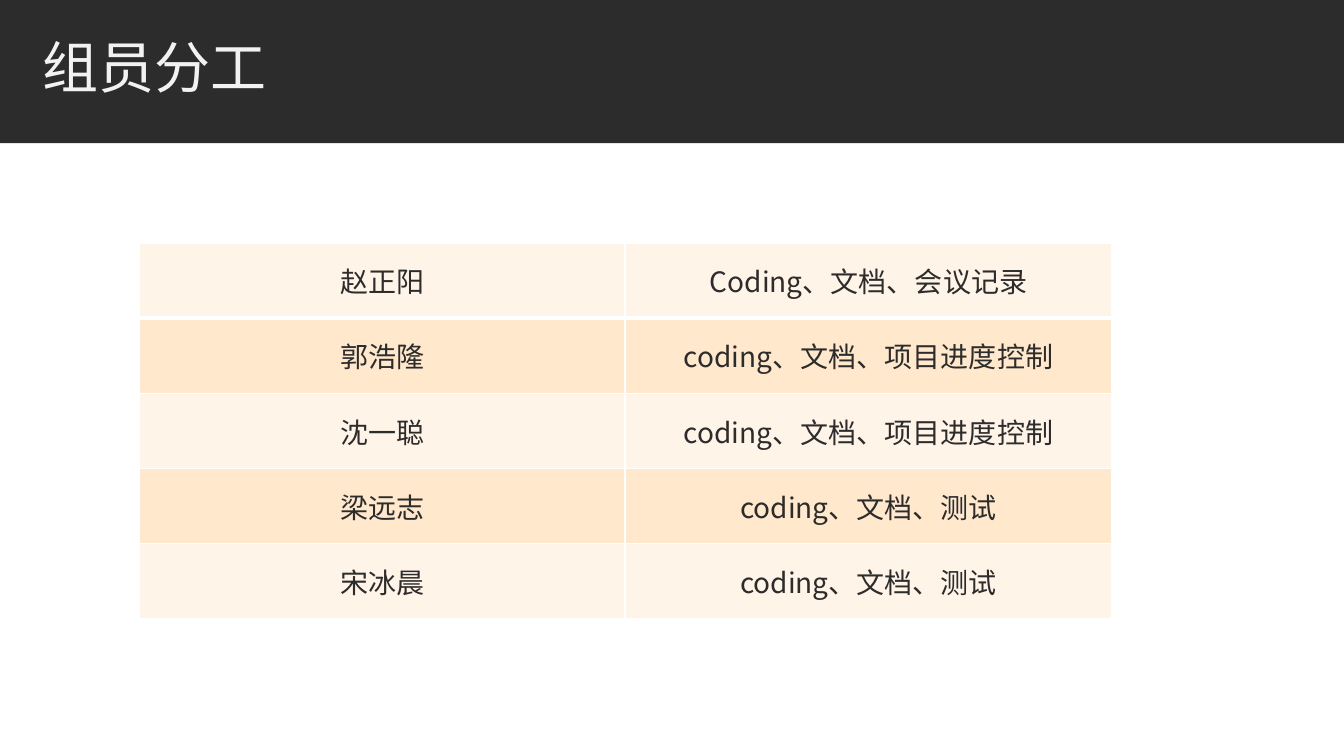
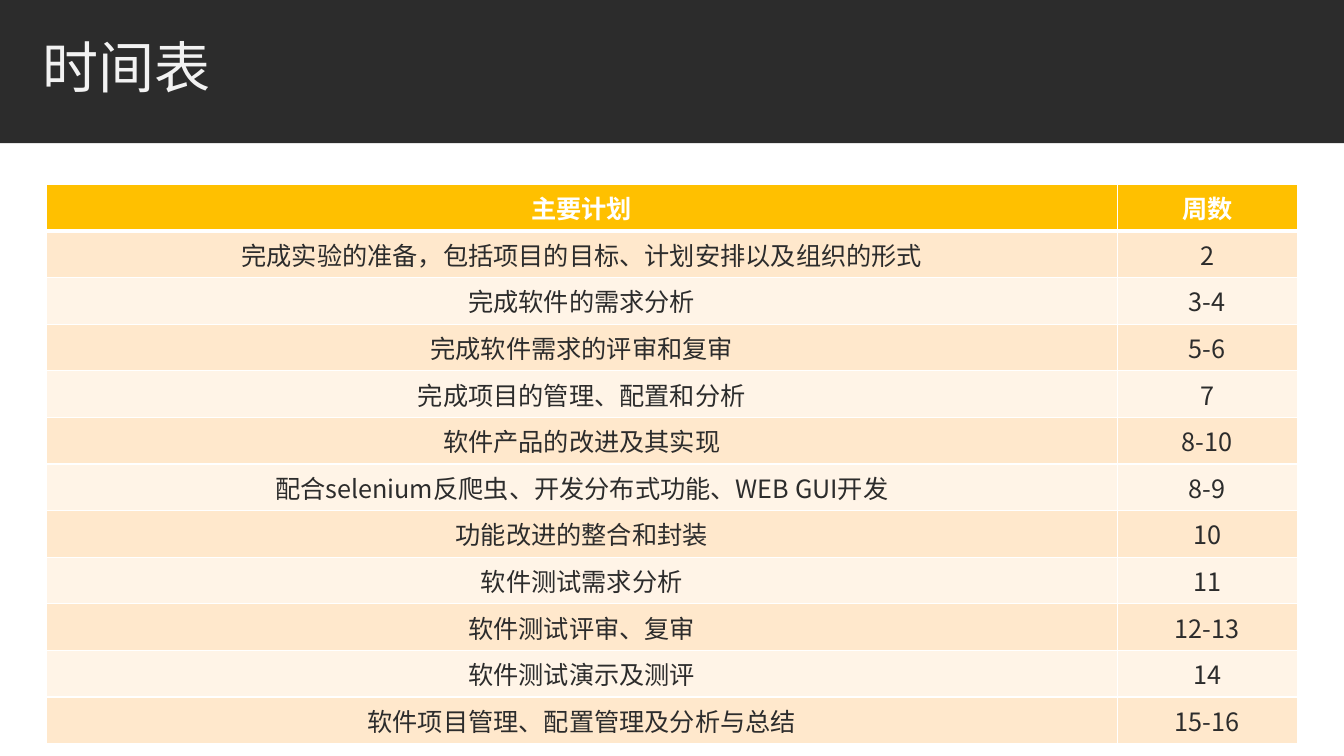
"""Build the team roles and timetable slides."""
import lxml.etree
import pptx
import pptx.dml.color
import pptx.enum.shapes
import pptx.enum.text
import pptx.oxml.ns
import pptx.util

Inches = pptx.util.Inches
FONT = "Noto Sans CJK SC"
DARK = "2C2C2C"
TITLE_COLOR = "F2F2F2"
WHITE = "FFFFFF"
HEADER_FILL = "FFC000"
PALE_BAND = "FFF4E7"
DEEP_BAND = "FFE8CC"
SLIDE_WIDTH = 13.33

ROLES = [
    ("赵正阳", "Coding、文档、会议记录"),
    ("郭浩隆", "coding、文档、项目进度控制"),
    ("沈一聪", "coding、文档、项目进度控制"),
    ("梁远志", "coding、文档、测试"),
    ("宋冰晨", "coding、文档、测试"),
]
TIMETABLE = [
    ("主要计划", "周数"),
    ("完成实验的准备，包括项目的目标、计划安排以及组织的形式", "2"),
    ("完成软件的需求分析", "3-4"),
    ("完成软件需求的评审和复审", "5-6"),
    ("完成项目的管理、配置和分析", "7"),
    ("软件产品的改进及其实现", "8-10"),
    ("配合selenium反爬虫、开发分布式功能、WEB GUI开发", "8-9"),
    ("功能改进的整合和封装", "10"),
    ("软件测试需求分析", "11"),
    ("软件测试评审、复审", "12-13"),
    ("软件测试演示及测评", "14"),
    ("软件项目管理、配置管理及分析与总结", "15-16"),
]


def set_fill(target, color):
    target.fill.solid()
    target.fill.fore_color.rgb = pptx.dml.color.RGBColor.from_string(color)


def add_run(paragraph, text, size, color, bold=False):
    run = paragraph.add_run()
    run.text = text
    run.font.size = pptx.util.Pt(size)
    run.font.name = FONT
    run.font.bold = bold
    set_fill(run.font, color)
    properties = run.font._element
    east_asian = lxml.etree.SubElement(properties, pptx.oxml.ns.qn("a:ea"))
    east_asian.set("typeface", FONT)


def add_titled_slide(presentation, title):
    slide = presentation.slides.add_slide(presentation.slide_layouts[6])
    band = slide.shapes.add_shape(
        pptx.enum.shapes.MSO_SHAPE.RECTANGLE, 0, 0, Inches(SLIDE_WIDTH), Inches(1.42))
    band.shadow.inherit = False
    band.line.fill.background()
    set_fill(band, DARK)

    box = slide.shapes.add_textbox(Inches(0.32), Inches(0.26), Inches(10.7), Inches(0.9))
    box.text_frame.word_wrap = True
    box.text_frame.vertical_anchor = pptx.enum.text.MSO_ANCHOR.MIDDLE
    paragraph = box.text_frame.paragraphs[0]
    paragraph.line_spacing = 0.85
    add_run(paragraph, title, 40, TITLE_COLOR)
    return slide


def add_borders(cell, top, bottom):
    properties = cell._tc.get_or_add_tcPr()
    for side, width in (("L", 1), ("R", 1), ("T", top), ("B", bottom)):
        line = lxml.etree.SubElement(properties, pptx.oxml.ns.qn(f"a:ln{side}"))
        line.set("w", str(pptx.util.Pt(width)))
        fill = lxml.etree.SubElement(line, pptx.oxml.ns.qn("a:solidFill"))
        lxml.etree.SubElement(fill, pptx.oxml.ns.qn("a:srgbClr")).set("val", WHITE)


def add_banded_table(slide, rows, left, top, column_widths, height, size,
                     anchor, has_header=False):
    table = slide.shapes.add_table(
        len(rows), len(column_widths), Inches(left), Inches(top),
        Inches(sum(column_widths)), Inches(height)).table
    table.first_row = has_header
    table.horz_banding = False
    for column, width in zip(table.columns, column_widths):
        column.width = Inches(width)

    for row_index, texts in enumerate(rows):
        table.rows[row_index].height = Inches(height / len(rows))
        is_header = has_header and row_index == 0
        band_fill = DEEP_BAND if row_index % 2 else PALE_BAND
        for column_index, text in enumerate(texts):
            cell = table.cell(row_index, column_index)
            add_borders(cell, top=3 if row_index == 1 else 1,
                        bottom=3 if row_index == 0 else 1)
            set_fill(cell, HEADER_FILL if is_header else band_fill)
            cell.vertical_anchor = anchor
            paragraph = cell.text_frame.paragraphs[0]
            paragraph.alignment = pptx.enum.text.PP_ALIGN.CENTER
            add_run(paragraph, text, size, WHITE if is_header else DARK, is_header)


def main():
    presentation = pptx.Presentation()
    presentation.slide_width = Inches(SLIDE_WIDTH)
    presentation.slide_height = Inches(7.5)

    roles_slide = add_titled_slide(presentation, "组员分工")
    add_banded_table(roles_slide, ROLES, 1.38, 2.41, (4.82, 4.83), 3.73, 20,
                     pptx.enum.text.MSO_ANCHOR.MIDDLE)

    timetable_slide = add_titled_slide(presentation, "时间表")
    add_banded_table(timetable_slide, TIMETABLE, 0.46, 1.83, (10.62, 1.79), 5.55, 18,
                     pptx.enum.text.MSO_ANCHOR.TOP, has_header=True)

    presentation.save("out.pptx")


if __name__ == "__main__":
    main()
